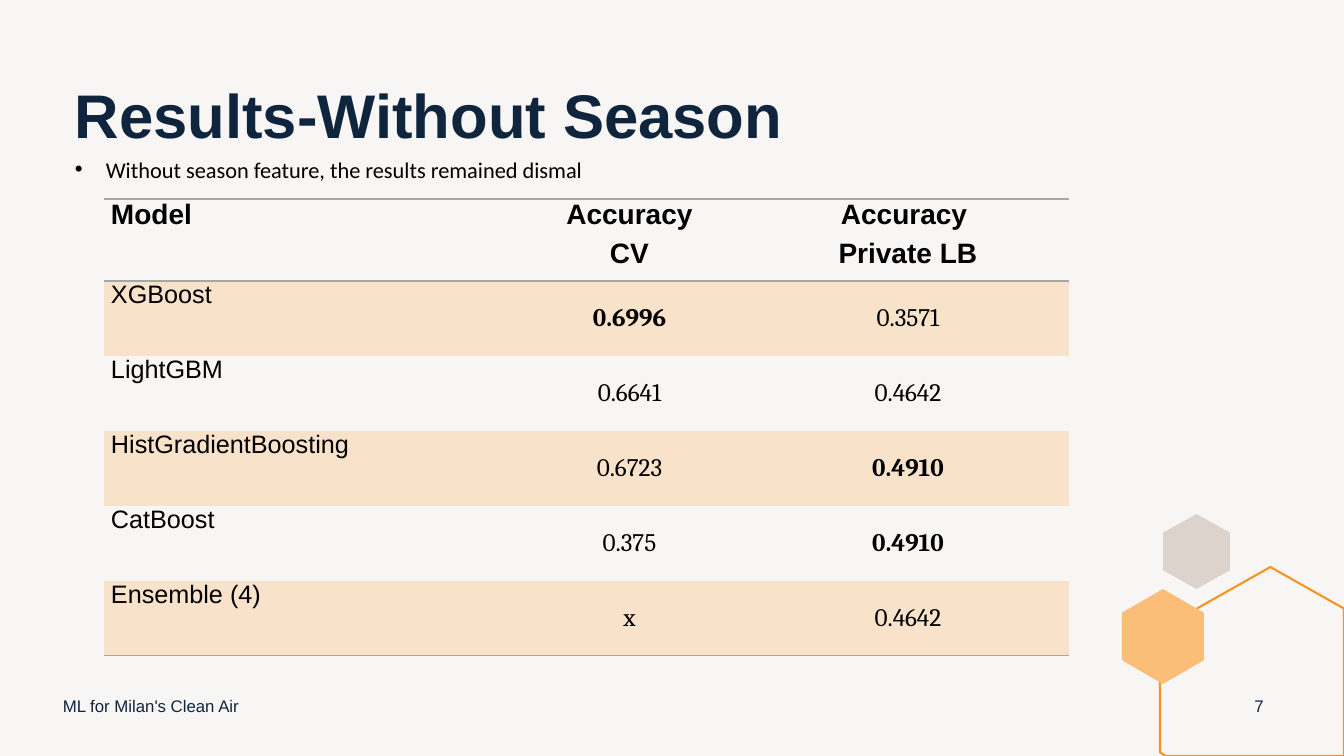
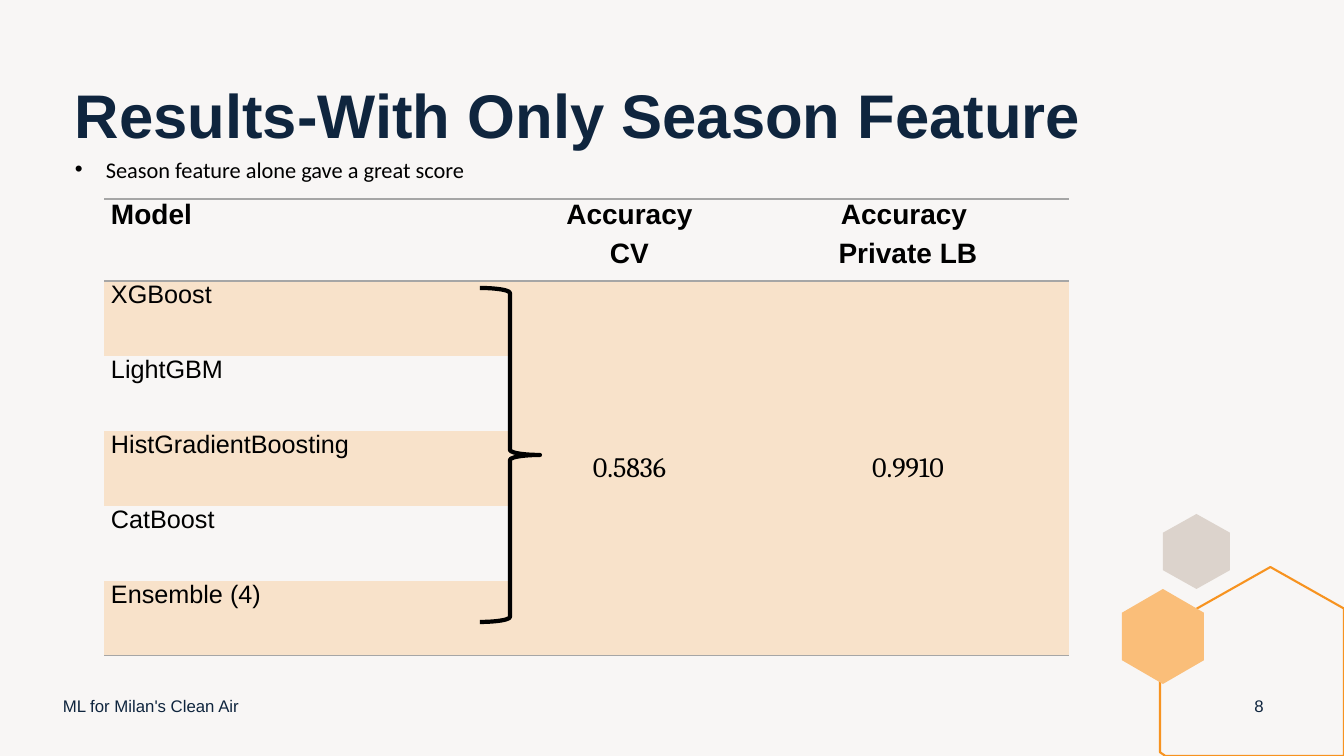
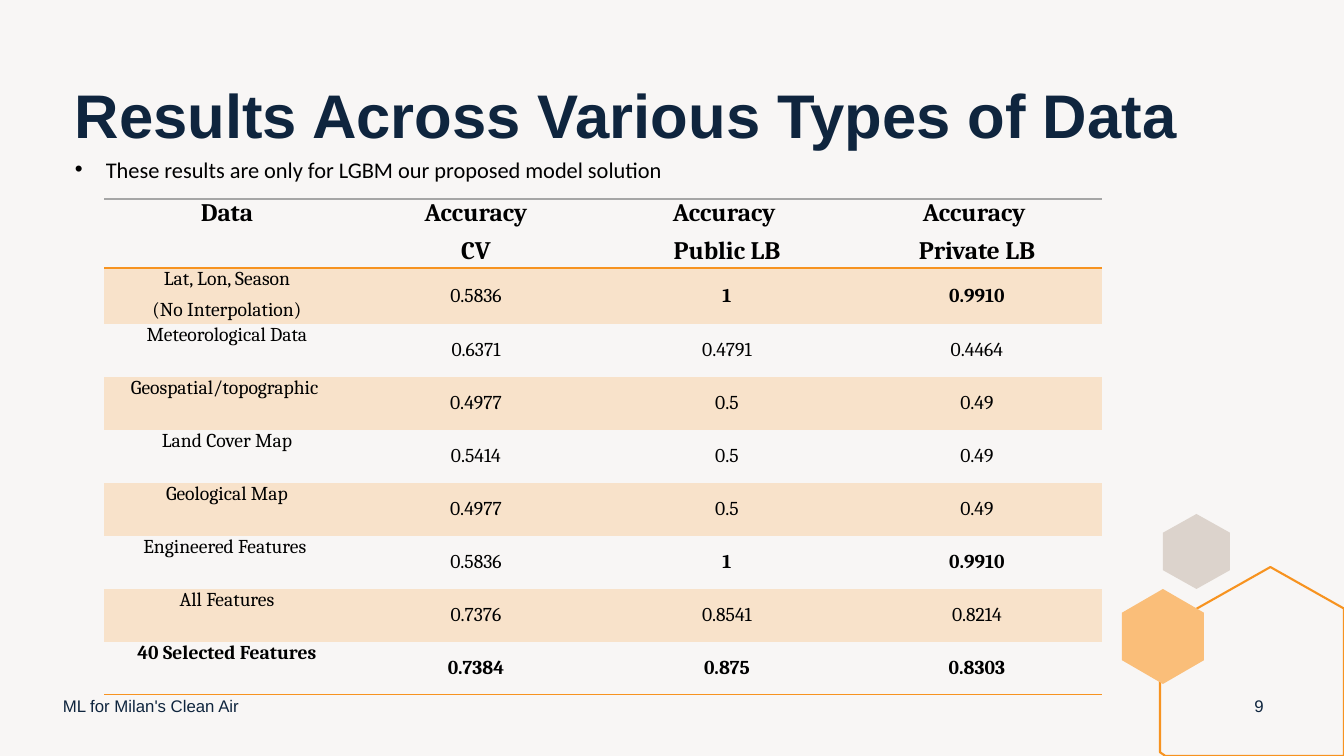
import dataclasses

import lxml.etree
import pptx
import pptx.dml.color
import pptx.enum.shapes
import pptx.enum.text
import pptx.oxml.ns
import pptx.util

PX = 914400 / 100.8
SLIDE_BOX = (0, 0, 1344, 756)
ALIGN = pptx.enum.text.PP_ALIGN
ANCHOR = pptx.enum.text.MSO_ANCHOR
PLAIN_TABLE = "{2D5ABB26-0587-4C30-8999-92F81FD0307C}"
HEXAGON = [(50, 0), (100, 25), (100, 75), (50, 100), (0, 75), (0, 25)]
CROPPED_HEXAGON = [(60, 0), (100, 22), (100, 100), (3, 100), (0, 98), (0, 33)]


def rgb(code):
    """Return the colour for a hex code."""
    return pptx.dml.color.RGBColor.from_string(code)


def px(length):
    """Turn px into EMU."""
    return pptx.util.Emu(round(length * PX))


def font(name, points, bold=False):
    """Return the format values of a font."""
    return {"name": name, "size": pptx.util.Pt(points), "bold": bold}


@dataclasses.dataclass(frozen=True)
class Theme:
    """Colours and type sizes of the deck."""

    paper: str = "F8F6F5"
    navy: str = "0F253E"
    black: str = "000000"
    orange: str = "F79320"
    apricot: str = "FABE79"
    stone: str = "DCD3CC"
    band: str = "F8E2CA"
    grey: str = "A6A6A6"
    title: int = 44
    header: int = 20
    lead: int = 16
    body: int = 18
    small: int = 14
    footer: int = 12


THEME = Theme()


def apply(target, values):
    """Set every attribute named in the format values."""
    for name, value in values.items():
        setattr(target, name, value)


def write(frame, text, letters, colour, layout):
    """Put text in a frame and format each of its paragraphs."""
    frame.text = text
    for paragraph in frame.paragraphs:
        apply(paragraph, layout)
        for run in paragraph.runs:
            apply(run.font, letters)
            run.font.color.rgb = rgb(colour)


def add_text(slide, box, text, letters, colour, layout, anchor=ANCHOR.TOP):
    """Add a wrapped text box and return its frame."""
    frame = slide.shapes.add_textbox(*map(px, box)).text_frame
    apply(frame, {"word_wrap": True, "vertical_anchor": anchor})
    write(frame, text, letters, colour, layout)
    return frame


def add_outline(slide, box, corners, fill=None, line=None):
    """Draw a polygon whose corners are percentages of its box."""
    left, top, width, height = box
    points = [(px(left + width * x / 100), px(top + height * y / 100)) for x, y in corners]
    builder = slide.shapes.build_freeform(*points[0])
    builder.add_line_segments(points[1:], close=True)
    polygon = builder.convert_to_shape()
    polygon.shadow.inherit = False
    for paint, colour in ((polygon.fill, fill), (polygon.line.fill, line)):
        if colour:
            paint.solid()
            paint.fore_color.rgb = rgb(colour)
        else:
            paint.background()
    if line:
        polygon.line.width = pptx.util.Pt(1.5)


def add_honeycomb(slide, box):
    """Draw the corner ornament in its box."""
    left, top = box[:2]
    add_outline(slide, (left + 41, top, 67, 75), HEXAGON, fill=THEME.stone)
    add_outline(slide, (left + 38, top + 53, 184, 189), CROPPED_HEXAGON, line=THEME.orange)
    add_outline(slide, (left, top + 75, 82, 95), HEXAGON, fill=THEME.apricot)


def add_heading(slide, box, title, lead):
    """Place the title with its bulleted lead below."""
    left, top, width = box[:3]
    add_text(slide, (left, top, width, 80), title, font("Arial", THEME.title, True),
             THEME.navy, {"line_spacing": 0.9})
    frame = add_text(slide, (left, top + 71, width, 37), lead,
                     font("Calibri", THEME.lead), THEME.black, {})
    properties = frame.paragraphs[0]._p.get_or_add_pPr()
    properties.set("marL", str(px(31)))
    properties.set("indent", str(-px(31)))
    for tag, key, value in (("a:buFont", "typeface", "Arial"), ("a:buChar", "char", "•")):
        lxml.etree.SubElement(properties, pptx.oxml.ns.qn(tag)).set(key, value)


def add_footer(slide, box, number):
    """Place the running title and the page number."""
    left, top, width, height = box
    letters = font("Arial", THEME.footer)
    add_text(slide, (left, top, 487, height), "ML for Milan's Clean Air", letters,
             THEME.navy, {}, ANCHOR.MIDDLE)
    add_text(slide, (left + width - 50, top, 50, height), str(number), letters,
             THEME.navy, {"alignment": ALIGN.CENTER}, ANCHOR.MIDDLE)


def add_rule(cell, side, colour):
    """Draw one border of a cell, 1 pt wide."""
    edge = lxml.etree.SubElement(cell._tc.get_or_add_tcPr(), pptx.oxml.ns.qn(side))
    edge.set("w", str(pptx.util.Pt(1)))
    paint = lxml.etree.SubElement(edge, pptx.oxml.ns.qn("a:solidFill"))
    lxml.etree.SubElement(paint, pptx.oxml.ns.qn("a:srgbClr")).set("val", colour)


def add_results(slide, corner, results):
    """Build the banded results table at the given corner."""
    rows, widths, heights = results["rows"], results["widths"], results["heights"]
    size = (sum(widths), sum(heights))
    table = slide.shapes.add_table(len(rows), len(widths), *map(px, corner + size)).table
    table._tbl.tblPr.find(pptx.oxml.ns.qn("a:tableStyleId")).text = PLAIN_TABLE
    for column, width in zip(table.columns, widths):
        column.width = px(width)
    for table_row, height in zip(table.rows, heights):
        table_row.height = px(height)
    top_rule, header_rule, last_rule = results["rules"]
    last = len(rows) - 1
    merged = results.get("merged", ())
    for row, texts in enumerate(rows):
        for col, text in enumerate(texts):
            cell = table.cell(row, col)
            is_value = row > 0 and col > 0
            apply(cell, {"margin_left": px(7), "margin_right": px(7),
                         "margin_top": 0, "margin_bottom": 0,
                         "vertical_anchor": ANCHOR.MIDDLE if is_value else ANCHOR.TOP})
            if row == 0:
                add_rule(cell, "a:lnT", top_rule)
                add_rule(cell, "a:lnB", header_rule)
            elif row == last or (row == 1 and col in merged):
                add_rule(cell, "a:lnB", last_rule)
            if row % 2 or (row and col in merged):
                cell.fill.solid()
                cell.fill.fore_color.rgb = rgb(THEME.band)
            else:
                cell.fill.background()
            points = (results["header_size"] if row == 0
                      else results["value_size"] if is_value else results["label_size"])
            face = "Cambria" if is_value else results["label_face"]
            bold = row == 0 or (row, col) in results["bold"]
            align = results["label_align"] if col == 0 else ALIGN.CENTER
            write(cell.text_frame, text, font(face, points, bold), THEME.black,
                  {"alignment": align, "space_before": pptx.util.Pt(6)})
    for col in merged:
        table.cell(1, col).merge(table.cell(last, col))


def add_brace(slide, box):
    """Draw the brace that joins the models to one score."""
    brace = slide.shapes.add_shape(pptx.enum.shapes.MSO_SHAPE.RIGHT_BRACE, *map(px, box))
    brace.shadow.inherit = False
    brace.fill.background()
    brace.line.color.rgb = rgb(THEME.black)
    brace.line.width = pptx.util.Pt(3)


def add_results_slide(deck, box, number, page):
    """Add one results slide with its shared parts."""
    left, top, width, height = box
    slide = deck.slides.add_slide(deck.slide_layouts[6])
    add_honeycomb(slide, (left + width - 222, top + height - 242, 222, 242))
    add_heading(slide, (left + 65, top + 80, 1200, 108), page["title"], page["lead"])
    add_footer(slide, (left + 53, top + height - 70, 1231, 40), number)
    add_results(slide, (left + 104, top + 199), page["results"])
    if "brace" in page:
        add_brace(slide, page["brace"])


MODELS = ["XGBoost", "LightGBM", "HistGradientBoosting", "CatBoost", "Ensemble (4)"]
MODEL_HEADER = ("Model", "Accuracy\nCV", "Accuracy \nPrivate LB")
MODEL_TABLE = {
    "widths": [408, 235, 322], "heights": [82] + [75] * 5, "rules": [THEME.grey] * 3,
    "header_size": THEME.header, "label_size": THEME.body, "value_size": THEME.body,
    "label_face": "Arial", "label_align": ALIGN.JUSTIFY,
}
MODEL_SCORES = [("0.6996", "0.3571"), ("0.6641", "0.4642"), ("0.6723", "0.4910"),
                ("0.375", "0.4910"), ("x", "0.4642")]
SEASON_SCORES = [("0.5836", "0.9910")] + [("", "")] * 4
DATA_ROWS = [
    ("Data", "Accuracy\nCV", "Accuracy \nPublic LB", "Accuracy \nPrivate LB"),
    ("Lat, Lon, Season\n(No Interpolation)", "0.5836", "1", "0.9910"),
    ("Meteorological Data", "0.6371", "0.4791", "0.4464"),
    ("Geospatial/topographic ", "0.4977", "0.5", "0.49"),
    ("Land Cover Map", "0.5414", "0.5", "0.49"),
    ("Geological Map", "0.4977", "0.5", "0.49"),
    ("Engineered Features ", "0.5836", "1", "0.9910"),
    ("All Features", "0.7376", "0.8541", "0.8214"),
    ("40 Selected Features", "0.7384", "0.875", "0.8303"),
]


def model_rows(scores):
    """Join the model names with their scores under the header."""
    return [MODEL_HEADER] + [(model, *pair) for model, pair in zip(MODELS, scores)]


PAGES = [
    {"title": "Results-Without Season",
     "lead": "Without season feature, the results remained dismal",
     "results": {**MODEL_TABLE, "rows": model_rows(MODEL_SCORES),
                 "bold": {(1, 1), (3, 2), (4, 2)}}},
    {"title": "Results-With Only Season Feature",
     "lead": "Season feature alone gave a great score",
     "results": {**MODEL_TABLE, "rows": model_rows(SEASON_SCORES), "bold": set(),
                 "value_size": THEME.header, "merged": (1, 2)},
     "brace": (480, 288, 60, 334)},
    {"title": "Results Across Various Types of Data",
     "lead": "These results are only for LGBM our proposed model solution",
     "results": {"rows": DATA_ROWS, "widths": [246, 252, 250, 250],
                 "heights": [69, 56] + [53] * 7,
                 "rules": [THEME.grey, THEME.orange, THEME.orange],
                 "header_size": THEME.body, "label_size": THEME.small,
                 "value_size": THEME.small, "label_face": "Cambria",
                 "label_align": ALIGN.CENTER,
                 "bold": {(1, 2), (1, 3), (6, 2), (6, 3), (8, 0), (8, 1), (8, 2), (8, 3)}}},
]


def main():
    """Build the deck and save it."""
    deck = pptx.Presentation()
    apply(deck, {"slide_width": px(SLIDE_BOX[2]), "slide_height": px(SLIDE_BOX[3])})
    paper = deck.slide_master.background.fill
    paper.solid()
    paper.fore_color.rgb = rgb(THEME.paper)
    for number, page in enumerate(PAGES, start=7):
        add_results_slide(deck, SLIDE_BOX, number, page)
    deck.save("out.pptx")


if __name__ == "__main__":
    main()
